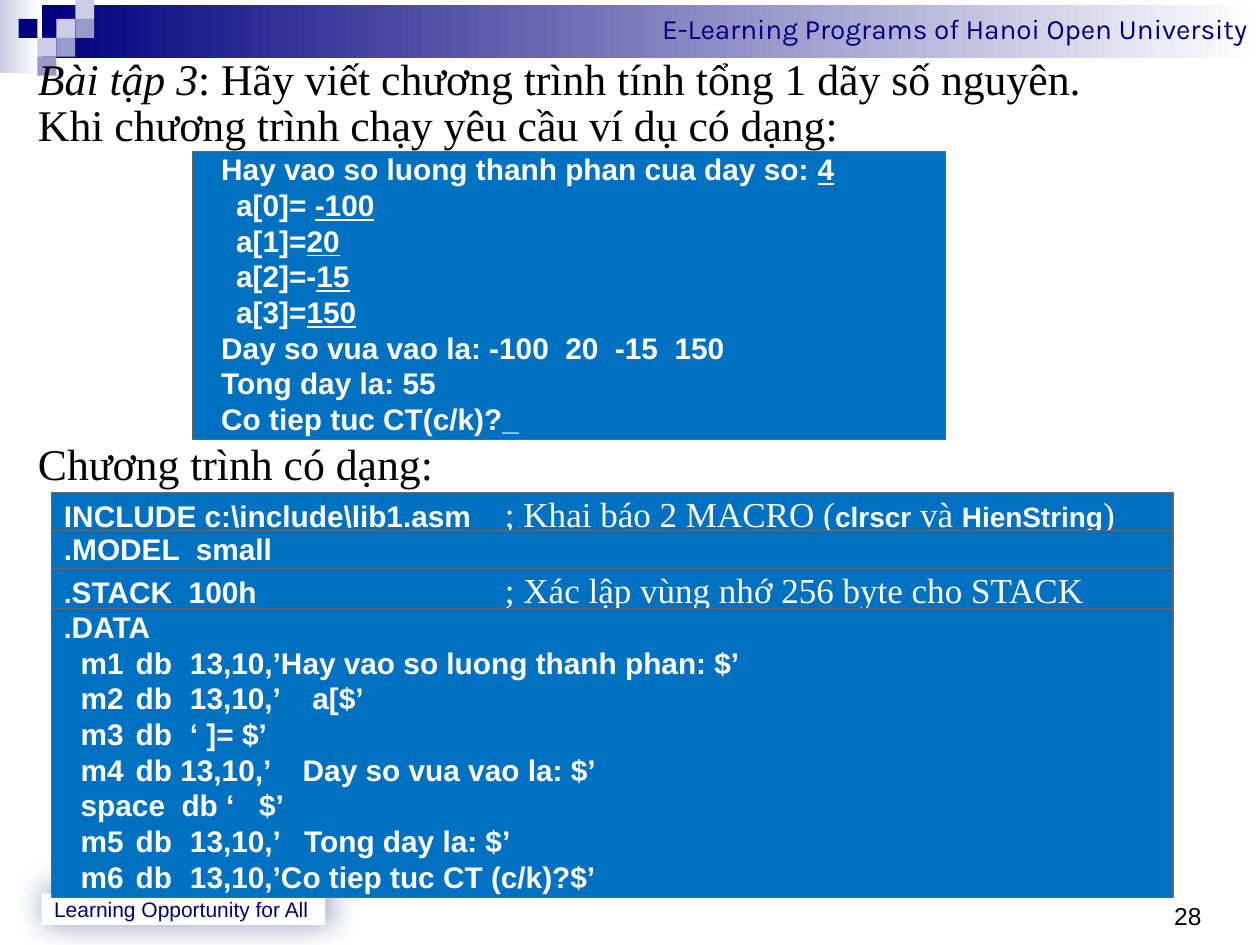
from lxml.etree import SubElement
from pptx import Presentation
from pptx.dml.color import RGBColor
from pptx.enum.shapes import MSO_SHAPE as Preset
from pptx.enum.text import MSO_ANCHOR as Anchor, MSO_AUTO_SIZE as AutoSize, PP_ALIGN as Align
from pptx.oxml import parse_xml
from pptx.oxml.ns import nsdecls, qn
from pptx.util import Pt

NAVY = RGBColor(0x00, 0x00, 0x7D)
FOOTER_NAVY = RGBColor(0x00, 0x00, 0x72)
LAVENDER = RGBColor(0xCC, 0xCC, 0xE6)
VIOLET = RGBColor(0x99, 0x99, 0xCC)
BLUE = RGBColor(0x00, 0x70, 0xC0)
GRAY = RGBColor(0x66, 0x66, 0x66)
WHITE = RGBColor(0xFF, 0xFF, 0xFF)
BLACK = RGBColor(0x00, 0x00, 0x00)
SERIF = "Times New Roman"


def add_span(para, text, size=17, font="Arial", color=WHITE, bold=False,
             italic=False, underline=False):
    span = para.add_run()
    span.text = text
    span.font.size = Pt(size)
    span.font.name = font
    span.font.color.rgb = color
    span.font.bold = bold
    span.font.italic = italic
    span.font.underline = underline


def add_rectangle(left, top, width, height, fill, line=None):
    """Add a plain rectangle; a pair of fill colours makes a left-to-right gradient."""
    box = page.shapes.add_shape(Preset.RECTANGLE, Pt(left), Pt(top), Pt(width), Pt(height))
    box.shadow.inherit = False
    if isinstance(fill, list):
        box.fill.gradient()
        box.fill.gradient_angle = 0
        for stop, color in zip(box.fill.gradient_stops, fill):
            stop.color.rgb = color
    else:
        box.fill.solid()
        box.fill.fore_color.rgb = fill
    if line is None:
        box.line.fill.background()
    else:
        box.line.color.rgb = line
        box.line.width = Pt(0.75)
    box.text_frame.word_wrap = True
    box.text_frame.vertical_anchor = Anchor.TOP
    box.text_frame.paragraphs[0].alignment = Align.LEFT
    return box


deck = Presentation()
deck.slide_width, deck.slide_height = Pt(720), Pt(540)
page = deck.slides.add_slide(deck.slide_layouts[1])
title = page.shapes.title
title._element.getparent().remove(title._element)
body = page.placeholders[1]

# Header band with its squares
add_rectangle(0, 0, 22.3, 41.8, [LAVENDER, WHITE])
band = add_rectangle(23.8, 2.9, 696.2, 30.2, [NAVY, WHITE])
para = band.text_frame.paragraphs[0]
para.alignment = Align.RIGHT
add_span(para, "E-Learning Programs of Hanoi Open University", size=16, font="Karla", color=NAVY)

SQUARE = 10.8
for column, row, color in [(2, 1, LAVENDER), (3, 0, LAVENDER), (3, 1, VIOLET), (1, 2, LAVENDER),
                           (0, 1, NAVY), (2, 2, VIOLET), (1, 3, VIOLET)]:
    add_rectangle(10.6 + column * SQUARE, row * SQUARE, SQUARE, SQUARE, color)

# Footer
motto = add_rectangle(23.8, 510.5, 162, 18, WHITE)
motto.text_frame.vertical_anchor = Anchor.MIDDLE
add_span(motto.text_frame.paragraphs[0], "Learning Opportunity for All", size=12, color=FOOTER_NAVY)
effects = motto._element.spPr.find(qn("a:effectLst"))
effects.append(parse_xml(
    f'<a:outerShdw {nsdecls("a")} blurRad="{Pt(19)}" dist="{Pt(3)}" dir="18900000" algn="tl" '
    'rotWithShape="0"><a:srgbClr val="002060"><a:alpha val="56000"/></a:srgbClr></a:outerShdw>'))

number = page.shapes.add_textbox(Pt(671), Pt(511.2), Pt(21.6), Pt(18))
number.text_frame.margin_left = number.text_frame.margin_right = 0
add_span(number.text_frame.paragraphs[0], "28", size=14, color=BLACK)

# Exercise text, in front of the header squares
page.shapes._spTree.append(body._element)
body.left, body.top, body.width, body.height = Pt(13), Pt(30.2), Pt(698.4), Pt(537.8)
body.text_frame.auto_size = AutoSize.NONE
body.text_frame.vertical_anchor = Anchor.TOP
exercise = [
    (0, [("Bài tập 3", True), (": Hãy viết chương trình tính tổng 1 dãy số nguyên.", False)]),
    (0, [("Khi chương trình chạy yêu cầu ví dụ có dạng:", False)]),
    (168, [("Chương trình có dạng:", False)]),
]
for index, (space, spans) in enumerate(exercise):
    para = body.text_frame.paragraphs[0] if index == 0 else body.text_frame.add_paragraph()
    para.alignment = Align.JUSTIFY
    para.line_spacing = Pt(26)
    para.space_before = Pt(space)
    properties = para._p.get_or_add_pPr()
    properties.set("marL", "0")
    properties.set("indent", str(Pt(1.5)))
    SubElement(properties, qn("a:buNone"))
    for text, italic in spans:
        add_span(para, text, size=25, font=SERIF, color=BLACK, italic=italic)

# Code panels: left, top, width, height, line spacing, paragraphs of (tab stops, spans)
CODE = {"bold": True}
SMALL = {"bold": True, "size": 16}
INPUT = {"bold": True, "underline": True}
NOTE = {"size": 20, "font": SERIF}
OUTPUT_TABS, INPUT_TABS = [9.5], [18]
HEAD_TABS, DATA_TABS = [27, 252], [9.5, 41, 72]

dialogue = [(OUTPUT_TABS, [("\tHay vao so luong thanh phan cua day so: ", CODE), ("4", INPUT)])]
for prompt, answer in [("a[0]= ", "-100"), ("a[1]=", "20"), ("a[2]=-", "15"), ("a[3]=", "150")]:
    dialogue.append((INPUT_TABS, [("\t" + prompt, CODE), (answer, INPUT)]))
for text in ["Day so vua vao la: -100  20  -15  150", "Tong day la: 55", "Co tiep tuc CT(c/k)?_"]:
    dialogue.append((OUTPUT_TABS, [("\t" + text, CODE)]))

include = [(HEAD_TABS, [("INCLUDE c:\\include\\lib1.asm\t", CODE), ("; Khai báo 2 MACRO (", NOTE),
                        ("clrscr", SMALL), (" và ", NOTE), ("HienString", SMALL), (")", NOTE)])]
model = [(HEAD_TABS, [(".MODEL  small", CODE)])]
stack = [(HEAD_TABS, [(".", SMALL), ("STACK  100h\t", CODE),
                      ("; Xác lập vùng nhớ 256 byte cho STACK", NOTE)])]
data = [(HEAD_TABS, [(".", SMALL), ("DATA", CODE)])]
for text in ["m1\tdb\t13,10,’Hay vao so luong thanh phan: $’",
             "m2\tdb\t13,10,’    a[$’",
             "m3\tdb \t‘ ]= $’",
             "m4\tdb 13,10,’    Day so vua vao la: $’",
             "space  db ‘   $’",
             "m5\tdb\t13,10,’   Tong day la: $’",
             "m6\tdb \t13,10,’Co tiep tuc CT (c/k)?$’"]:
    data.append((DATA_TABS, [("\t" + text, CODE)]))

panels = [
    (109.8, 86.4, 430.6, 164.9, 20.4, dialogue),
    (29.5, 281.5, 640.8, 24.5, None, include),
    (29.5, 303.1, 640.8, 23.8, None, model),
    (29.5, 324.7, 640.8, 24.5, None, stack),
    (29.5, 347.8, 640.8, 164.9, 20.4, data),
]
for left, top, width, height, spacing, lines in panels:
    frame = add_rectangle(left, top, width, height, BLUE, GRAY).text_frame
    frame.margin_top = frame.margin_bottom = 0
    for index, (stops, spans) in enumerate(lines):
        para = frame.paragraphs[0] if index == 0 else frame.add_paragraph()
        para.alignment = Align.LEFT
        if spacing:
            para.line_spacing = Pt(spacing)
        tabs = SubElement(para._p.get_or_add_pPr(), qn("a:tabLst"))
        for stop in stops:
            SubElement(tabs, qn("a:tab"), pos=str(Pt(stop)), algn="l")
        for text, style in spans:
            add_span(para, text, **style)

deck.save("out.pptx")
